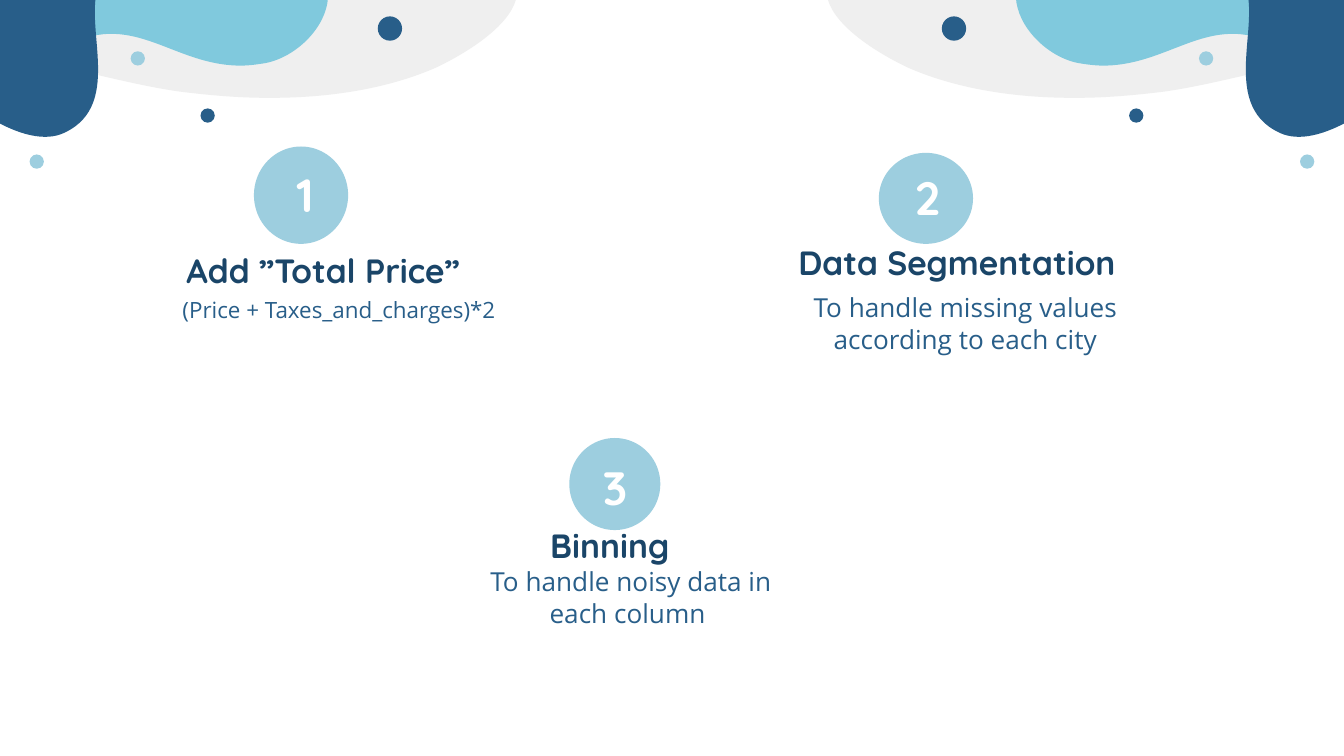
from pptx import Presentation
from pptx.dml.color import RGBColor
from pptx.enum.shapes import MSO_SHAPE
from pptx.enum.text import MSO_ANCHOR, MSO_AUTO_SIZE, PP_ALIGN
from pptx.oxml.ns import qn
from pptx.util import Cm, Pt

NAVY = RGBColor(0x1A, 0x45, 0x68)
BLUE = RGBColor(0x28, 0x5E, 0x89)
TEAL = RGBColor(0x80, 0xC9, 0xDD)
SKY = RGBColor(0x9D, 0xCE, 0xDF)
GREY = RGBColor(0xEF, 0xEF, 0xEF)
WHITE = RGBColor(0xFF, 0xFF, 0xFF)

WIDE, HIGH = 25.4, 14.29  # all lengths in cm

# Each step: placeholder numbers, texts, note size, then boxes
# as left, top, width, height
STEPS = [
    dict(slots=(1, 2), num="1", head="Add ”Total Price”",
         note="(Price + Taxes_and_charges)*2", size=12,
         disc=(4.8, 2.77, 1.78, 1.84), num_at=(4.15, 3.17, 3.23, 0.99),
         head_at=(2.21, 4.61, 7.8, 0.99), note_at=(2.51, 5.34, 7.8, 1.73)),
    dict(slots=(3, 4), num="2", head="Data Segmentation",
         note="To handle missing values according to each city", size=14,
         disc=(16.61, 2.89, 1.78, 1.72), num_at=(15.91, 3.23, 3.23, 0.99),
         head_at=(14.63, 4.45, 6.91, 0.99), note_at=(14.56, 5.26, 7.37, 1.73)),
    dict(slots=(0, None), num="3", head="Binning ",
         note="To handle noisy data in each column ", size=14,
         disc=(10.76, 8.28, 1.72, 1.74), num_at=(10.01, 8.71, 3.23, 0.99),
         head_at=(8.16, 9.8, 6.91, 0.99), note_at=(8.61, 10.44, 6.63, 1.73)),
]

# Left corner: colour, start point, then cubic curves (two controls, end)
WAVES = [
    (GREY, (-5.74, -0.58), [
        (-3.78, -0.58, -1.83, -0.53, 0.13, -0.48),
        (1.96, -0.46, 3.81, -0.43, 5.66, -0.43),
        (5.66, -0.43, 8.38, -0.43, 8.38, -0.43),
        (8.48, -0.43, 8.59, -0.46, 8.71, -0.46),
        (9.22, -0.46, 9.88, -0.41, 9.75, 0),
        (9.6, 0.51, 8.84, 0.99, 8.26, 1.27),
        (7.34, 1.68, 6.22, 1.85, 5.13, 1.85),
        (5.11, 1.85, 5.08, 1.85, 5.05, 1.85),
        (4.5, 1.85, 3.94, 1.8, 3.38, 1.73),
        (2.69, 1.63, 2.01, 1.45, 1.32, 1.3),
        (-0.41, 0.86, -2.18, 0.46, -3.99, 0.25),
        (-4.98, 0.18, -5.97, 0.13, -6.99, 0.13),
        (-7.75, 0.13, -8.51, 0.15, -9.27, 0.18),
        (-9.25, -0.05, -9.25, -0.28, -9.25, -0.51),
        (-8.08, -0.56, -6.91, -0.58, -5.74, -0.58)]),
    (TEAL, (4.55, 1.24), [
        (4.7, 1.24, 4.85, 1.22, 5.03, 1.19),
        (5.61, 1.07, 6.17, 0.51, 6.2, -0.05),
        (6.22, -0.46, 6.02, -1.02, 5.49, -1.32),
        (5.28, -1.42, 5.13, -1.47, 4.95, -1.47),
        (4.83, -1.47, 4.7, -1.45, 4.57, -1.42),
        (3.07, -1.14, 1.55, -0.84, 0.03, -0.84),
        (-0.13, -0.84, -0.25, -0.84, -0.41, -0.84),
        (-0.3, -0.53, -0.3, -0.23, -0.23, 0.05),
        (-0.13, 0.36, 0.08, 0.81, 0.41, 0.97),
        (0.48, 0.99, 0.58, 0.99, 0.66, 0.99),
        (1.07, 0.99, 1.45, 0.66, 2.06, 0.64),
        (2.08, 0.64, 2.08, 0.64, 2.11, 0.64),
        (2.92, 0.64, 3.58, 1.24, 4.55, 1.24)]),
    (BLUE, (3.33, -2.24), [
        (3.45, -2.06, 3.53, -1.83, 3.48, -1.52),
        (3.33, -0.86, 2.26, -0.99, 1.91, -0.36),
        (1.5, 0.36, 2.39, 1.96, 1.22, 2.51),
        (0.48, 2.87, -0.86, 1.91, -1.45, 1.07),
        (-1.57, 0.89, -1.68, 0.71, -1.73, 0.56),
        (-1.73, 0.53, -1.14, -0.28, -1.07, -0.28),
        (-0.3, -0.91, 0.51, -1.47, 1.37, -1.96),
        (1.78, -2.18, 2.21, -2.41, 2.64, -2.62),
        (2.74, -2.67, 2.69, -2.67, 2.84, -2.62),
        (2.97, -2.59, 3.18, -2.44, 3.33, -2.24)]),
]
# Left corner dots: colour, left, top, size
DOTS = [(BLUE, 7.14, 0.31, 0.46), (SKY, 2.47, 0.97, 0.27),
        (SKY, 0.56, 2.92, 0.27), (BLUE, 3.79, 2.05, 0.27)]


def paint(shape, color):
    shape.shadow.inherit = False
    shape.fill.solid()
    shape.fill.fore_color.rgb = color
    shape.line.fill.background()


def oval(slide, box, color):
    paint(slide.shapes.add_shape(MSO_SHAPE.OVAL, *map(Cm, box)), color)


def bend(shape):
    """Turn each three straight pieces of an outline into one cubic curve."""
    lines = list(shape._element.iter(qn("a:lnTo")))
    for first in range(0, len(lines), 3):
        trio = lines[first:first + 3]
        curve = trio[0].makeelement(qn("a:cubicBezTo"), {})
        trio[0].addprevious(curve)
        for line in trio:
            curve.append(line[0])
            line.getparent().remove(line)


def corner(slide, flip):
    """Draw the waves and dots of one top corner."""
    def place(x, y):
        return Cm(WIDE - x if flip else x), Cm(y)

    for color, start, curves in WAVES:
        pen = slide.shapes.build_freeform(*place(*start), scale=1.0)
        for curve in curves:
            points = [place(*curve[i:i + 2]) for i in (0, 2, 4)]
            pen.add_line_segments(points, close=curve is curves[-1])
        wave = pen.convert_to_shape()
        bend(wave)
        paint(wave, color)
    for color, left, top, size in DOTS:
        if flip:
            left = WIDE - left - size
        oval(slide, (left, top, size, size), color)


def write(slide, slot, box, text, font, size, color, bold=False, mid=True):
    """Fill a placeholder, or a new text box when slot is None."""
    if slot is None:
        shape = slide.shapes.add_textbox(*map(Cm, box))
    else:
        shape = slide.placeholders[slot]
        shape.left, shape.top, shape.width, shape.height = map(Cm, box)
    frame = shape.text_frame
    frame.word_wrap = True
    frame.auto_size = MSO_AUTO_SIZE.NONE
    frame.vertical_anchor = MSO_ANCHOR.MIDDLE if mid else MSO_ANCHOR.TOP
    frame.margin_left = frame.margin_right = Cm(0.25)
    frame.margin_top = frame.margin_bottom = Cm(0.25)
    para = frame.paragraphs[0]
    para.alignment = PP_ALIGN.CENTER
    para.space_before = Pt(0)
    para.line_spacing = 1.0
    props = para._p.get_or_add_pPr()
    props.set("marL", "0")
    props.set("indent", "0")
    props.append(props.makeelement(qn("a:buNone"), {}))
    run = para.add_run()
    run.text = text
    run.font.name = font
    run.font.size = Pt(size)
    run.font.bold = bold
    run.font.color.rgb = color


def main():
    deck = Presentation()
    deck.slide_width, deck.slide_height = Cm(WIDE), Cm(HIGH)
    slide = deck.slides.add_slide(deck.slide_layouts.get_by_name("Comparison"))
    for flip in (True, False):
        corner(slide, flip)
    for step in STEPS:
        top, low = step["slots"]
        oval(slide, step["disc"], SKY)
        write(slide, None, step["num_at"], step["num"],
              "Quicksand", 25, WHITE, bold=True)
        write(slide, top, step["head_at"], step["head"],
              "Quicksand", 18, NAVY, bold=True)
        write(slide, low, step["note_at"], step["note"],
              "Open Sans", step["size"], BLUE, mid=False)
    deck.save("out.pptx")


if __name__ == "__main__":
    main()
